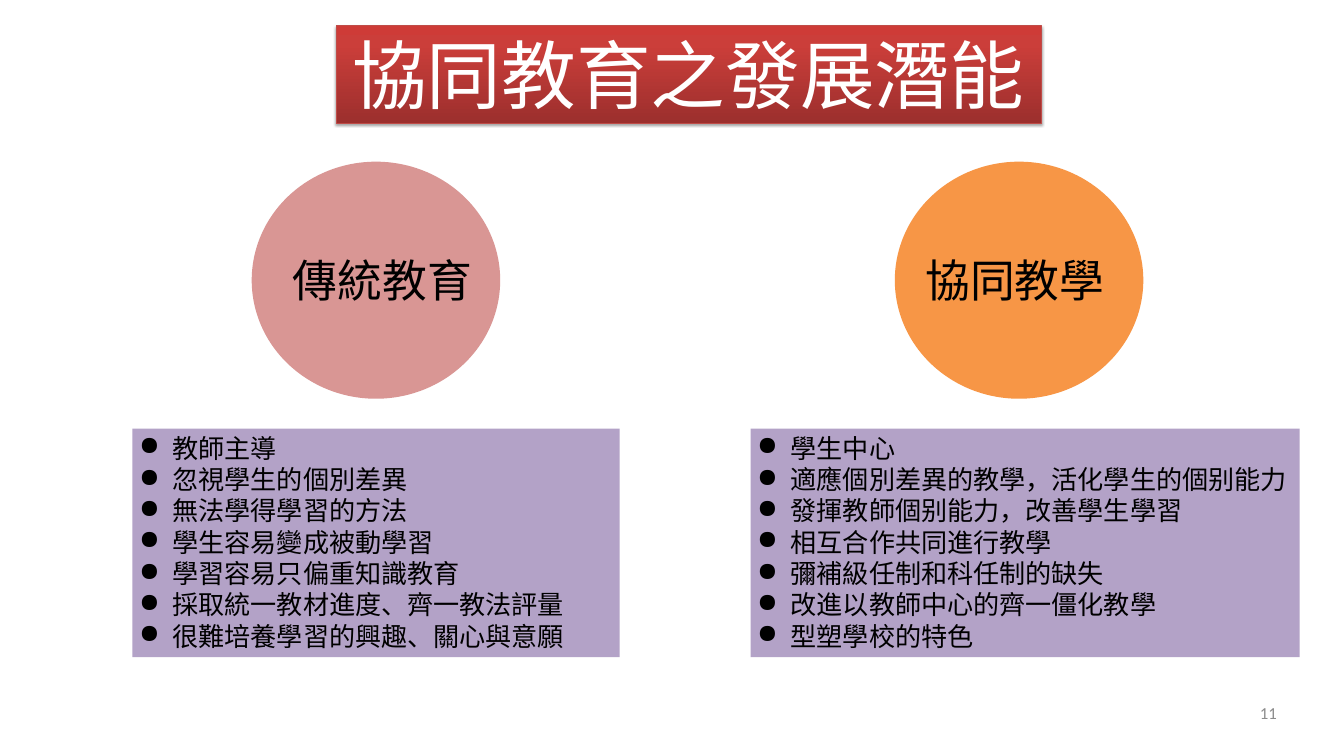
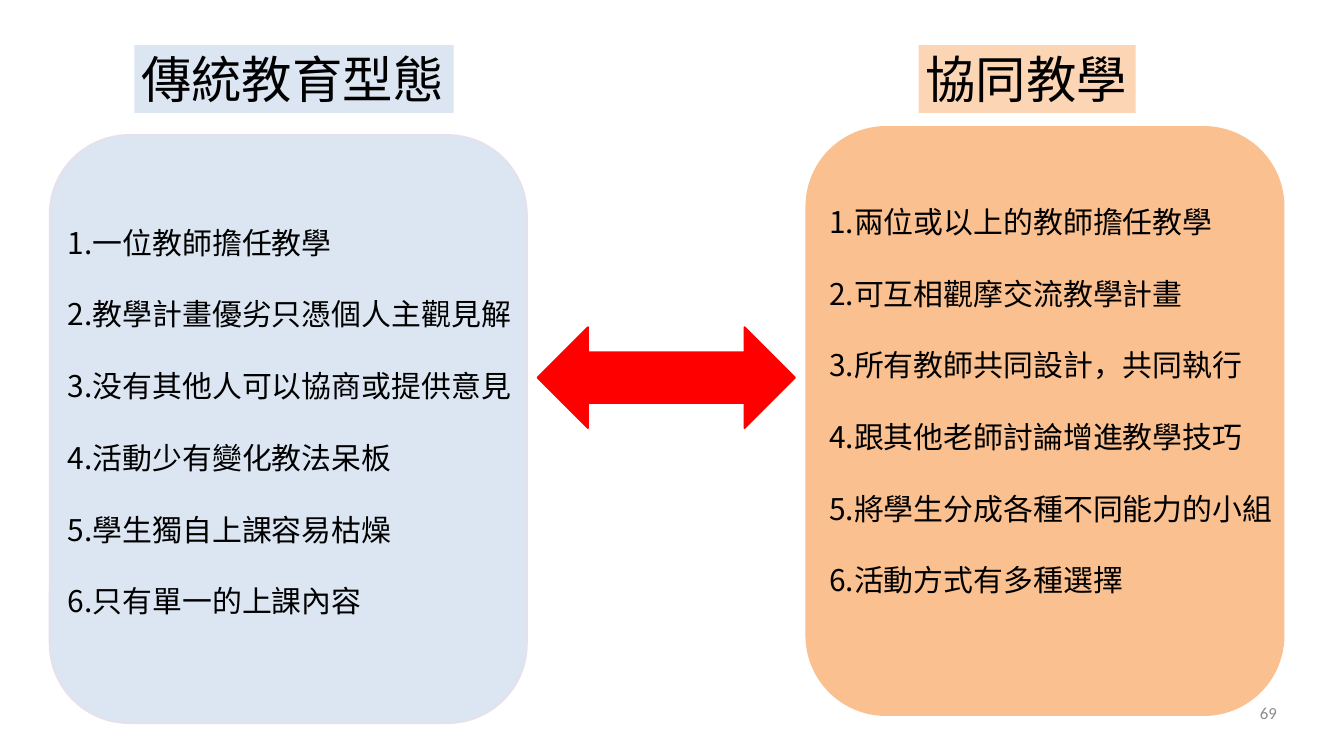
from lxml import etree
from pptx import Presentation
from pptx import util as u
from pptx.dml.color import RGBColor
from pptx.enum import shapes, text
from pptx.oxml import parse_xml
from pptx.oxml.ns import nsdecls, qn

COLUMNS, ROWS = 20, 11.25
UNIT = u.Inches(1)  # one grid column or row
LINE_HEIGHT = 1.2
CJK_FONT, NUMBER_FONT = "Noto Sans CJK SC", "Calibri"
COLORS = {
    "ink": "000000",
    "white": "FFFFFF",
    "number": "8C8C8C",
    "rose": "D99694",
    "orange": "F79646",
    "purple": "B3A2C7",
    "blue": "DCE6F2",
    "lilac": "E6E0EC",
    "peach": "FCD5B5",
    "apricot": "FAC090",
    "red": "FF0000",
    "banner_line": "BF4C48",
}
BANNER_STOPS = [(0, "9C2F2D"), (80, "CB3E3A"), (100, "CE3B37")]

TRADITIONAL_TRAITS = [
    "教師主導",
    "忽視學生的個別差異",
    "無法學得學習的方法",
    "學生容易變成被動學習",
    "學習容易只偏重知識教育",
    "採取統一教材進度、齊一教法評量",
    "很難培養學習的興趣、關心與意願",
]
TEAM_TRAITS = [
    "學生中心",
    "適應個別差異的教學，活化學生的個别能力",
    "發揮教師個别能力，改善學生學習",
    "相互合作共同進行教學",
    "彌補級任制和科任制的缺失",
    "改進以教師中心的齊一僵化教學",
    "型塑學校的特色",
]
TRADITIONAL_POINTS = [
    "一位教師擔任教學",
    "教學計畫優劣只憑個人主觀見解",
    "没有其他人可以協商或提供意見",
    "活動少有變化教法呆板",
    "學生獨自上課容易枯燥",
    "只有單一的上課內容",
]
TEAM_POINTS = [
    "兩位或以上的教師擔任教學",
    "可互相觀摩交流教學計畫",
    "所有教師共同設計，共同執行",
    "跟其他老師討論增進教學技巧",
    "將學生分成各種不同能力的小組",
    "活動方式有多種選擇",
]


def rgb(name):
    return RGBColor.from_string(COLORS[name])


def grid(*cells):
    return [int(cell * UNIT) for cell in cells]


def add_bullet(paragraph):
    properties = paragraph._p.get_or_add_pPr()
    properties.set("marL", str(u.Inches(0.5)))
    properties.set("indent", str(-u.Inches(0.5)))
    etree.SubElement(properties, qn("a:buChar")).set("char", "●")


def write(frame, lines, size, color="ink", font=CJK_FONT,
          align=text.PP_ALIGN.LEFT, gap=0, bulleted=False):
    """Fill a text frame, one paragraph a line, with gap points between them."""
    frame.word_wrap = True
    frame.vertical_anchor = text.MSO_ANCHOR.TOP
    for index, line in enumerate(lines):
        paragraph = frame.add_paragraph() if index else frame.paragraphs[0]
        paragraph.alignment = align
        paragraph.line_spacing = u.Pt(LINE_HEIGHT * size)
        paragraph.space_before = u.Pt(gap if index else 0)
        if bulleted:
            add_bullet(paragraph)
        run = paragraph.add_run()
        run.text = line
        run.font.size = u.Pt(size)
        run.font.name = font
        run.font.color.rgb = rgb(color)
        east_asian = etree.SubElement(run._r.get_or_add_rPr(), qn("a:ea"))
        east_asian.set("typeface", font)


def add_text(slide, place, lines, size, **style):
    box = slide.shapes.add_textbox(*grid(*place))
    write(box.text_frame, lines, size, **style)
    return box


def add_figure(slide, kind, place, fill, line=None):
    figure = slide.shapes.add_shape(kind, *grid(*place))
    figure.shadow.inherit = False
    figure.fill.solid()
    figure.fill.fore_color.rgb = rgb(fill)
    if line:
        figure.line.color.rgb = rgb(line)
        figure.line.width = u.Pt(2)
    else:
        figure.line.fill.background()
    return figure


def add_label(slide, place, fill, lines, size, **style):
    label = add_figure(slide, shapes.MSO_SHAPE.RECTANGLE, place, fill)
    write(label.text_frame, lines, size, **style)


def add_circle(slide, left, color, caption, caption_left):
    add_figure(slide, shapes.MSO_SHAPE.OVAL, (left, 2.42, 3.67, 3.5), color, color)
    add_text(slide, (caption_left, 3.71, 3.17, 0.91), [caption], 48)


def add_panel(slide, place, fill, line, text_place, points):
    add_figure(slide, shapes.MSO_SHAPE.ROUNDED_RECTANGLE, place, fill, line)
    numbered = [f"{number}.{point}" for number, point in enumerate(points, 1)]
    add_text(slide, text_place, numbered, 32, gap=LINE_HEIGHT * 32)


def add_page_number(slide, number):
    box = add_text(slide, (14.4, 10.46, 4.6, 0.56), [str(number)], 18,
                   color="number", font=NUMBER_FONT, align=text.PP_ALIGN.RIGHT)
    frame = box.text_frame
    frame.margin_left = frame.margin_right = 0
    frame.margin_top = frame.margin_bottom = 0


def format_banner(title, place, caption):
    """Turn the title placeholder into a red gradient banner with a soft shadow."""
    title.left, title.top, title.width, title.height = grid(*place)
    stops = "".join(
        f'<a:gs pos="{share * 1000}"><a:srgbClr val="{color}"/></a:gs>'
        for share, color in BANNER_STOPS)
    title._element.spPr.append(parse_xml(
        f'<a:gradFill {nsdecls("a")} rotWithShape="1"><a:gsLst>{stops}</a:gsLst>'
        '<a:lin ang="16200000" scaled="0"/></a:gradFill>'))
    title.line.color.rgb = rgb("banner_line")
    title.line.width = u.Pt(0.75)
    title._element.spPr.append(parse_xml(
        f'<a:effectLst {nsdecls("a")}><a:outerShdw blurRad="{u.Pt(3.1)}" '
        f'dist="{u.Pt(1.8)}" dir="5400000" rotWithShape="0"><a:srgbClr val="000000">'
        '<a:alpha val="35000"/></a:srgbClr></a:outerShdw></a:effectLst>'))
    write(title.text_frame, [caption], 80, color="white", align=text.PP_ALIGN.CENTER)
    title.text_frame.auto_size = text.MSO_AUTO_SIZE.NONE


def build_potential(deck):
    slide = deck.slides.add_slide(deck.slide_layouts.get_by_name("Title Only"))
    add_circle(slide, 3.76, "rose", "傳統教育", 4.26)
    add_circle(slide, 13.33, "orange", "協同教學", 13.67)
    for left, width, traits in ((1.97, 7.25, TRADITIONAL_TRAITS),
                                (11.17, 8.17, TEAM_TRAITS)):
        add_label(slide, (left, 6.38, width, 3.4), "purple", traits, 28, bulleted=True)
    add_page_number(slide, 11)
    format_banner(slide.shapes.title, (5, 0.38, 10.49, 1.45), "協同教育之發展潛能")


def build_comparison(deck):
    slide = deck.slides.add_slide(deck.slide_layouts.get_by_name("Blank"))
    add_label(slide, (2, 0.67, 4.75, 1.01), "blue", ["傳統教育型態"], 54)
    add_label(slide, (13.67, 0.67, 3.23, 1.01), "peach", ["協同教學"], 54)
    add_figure(slide, shapes.MSO_SHAPE.LEFT_RIGHT_ARROW, (8, 4.87, 3.83, 1.5),
               "red", "red")
    add_panel(slide, (0.74, 2.01, 7.1, 8.75), "blue", "lilac",
              (0.91, 3.29, 7.1, 6.56), TRADITIONAL_POINTS)
    add_page_number(slide, 69)
    add_panel(slide, (12, 1.89, 7.1, 8.75), "apricot", "apricot",
              (12.24, 2.98, 7.1, 6.56), TEAM_POINTS)


def main():
    deck = Presentation()
    deck.slide_width, deck.slide_height = grid(COLUMNS, ROWS)
    build_potential(deck)
    build_comparison(deck)
    deck.save("out.pptx")


if __name__ == "__main__":
    main()
